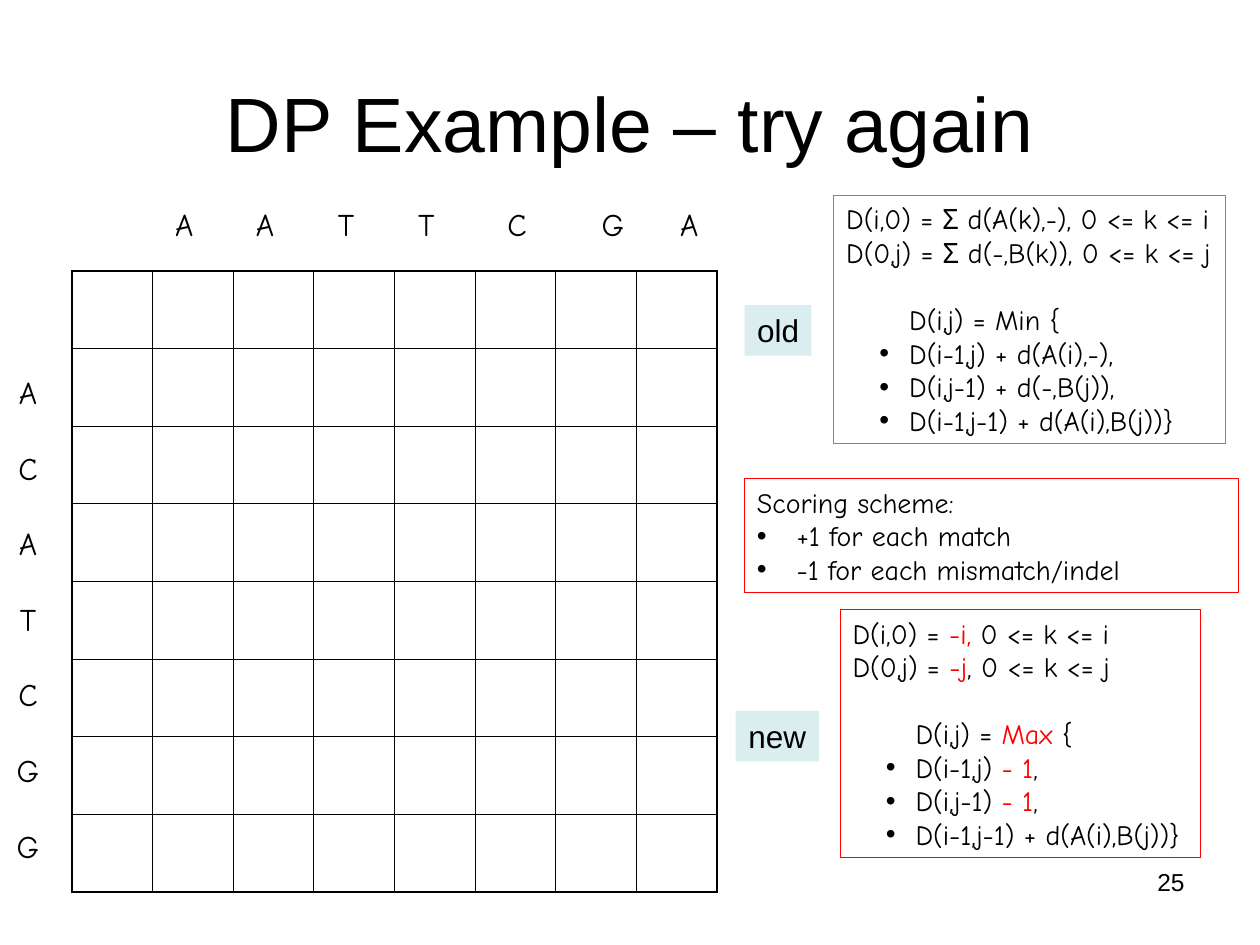
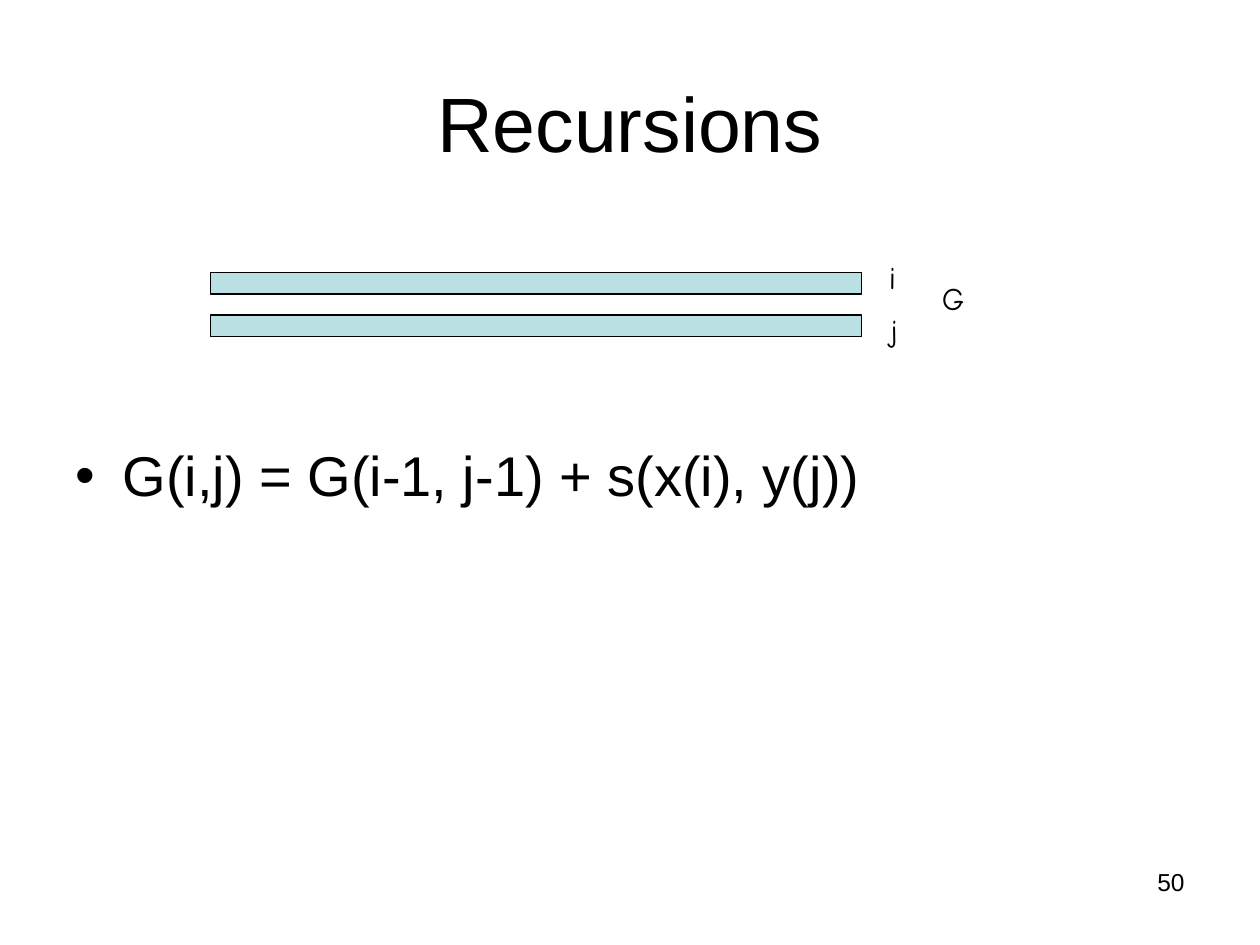
from lxml.etree import SubElement
from pptx import Presentation
from pptx.dml.color import RGBColor
from pptx.enum.shapes import MSO_SHAPE
from pptx.enum.text import MSO_ANCHOR, PP_ALIGN
from pptx.oxml.ns import qn
from pptx.util import Cm, Pt

HUES = {
    "ink": "000000",
    "red": "FF0000",
    "blue": "00B0F0",
    "pale": "DAEDEF",
    "teal": "BBE0E3",
}
SANS, HAND = "Arial", "Comic Neue"
LEFT, MID, RIGHT = PP_ALIGN.LEFT, PP_ALIGN.CENTER, PP_ALIGN.RIGHT


def hue(name):
    return RGBColor.from_string(HUES[name])


def paint(shape, fill=None, line=None):
    shape.shadow.inherit = False
    if fill:
        shape.fill.solid()
        shape.fill.fore_color.rgb = hue(fill)
    else:
        shape.fill.background()
    if line:
        shape.line.color.rgb = hue(line)
        shape.line.width = Pt(0.75)
    else:
        shape.line.fill.background()


def rect(slide, box, fill=None, line=None):
    shape = slide.shapes.add_shape(MSO_SHAPE.RECTANGLE, *map(Cm, box))
    paint(shape, fill, line)
    return shape


def label(slide, box):
    return slide.shapes.add_textbox(*map(Cm, box))


def write(shape, lines, size, face=HAND, align=LEFT, anchor=MSO_ANCHOR.TOP):
    frame = shape.text_frame
    frame.word_wrap = True
    frame.vertical_anchor = anchor
    frame.margin_left = Cm(0.25 if align == LEFT else 0)
    frame.margin_right = 0
    frame.margin_top = frame.margin_bottom = Cm(0.13)
    for num, line in enumerate(lines):
        para = frame.paragraphs[0] if num == 0 else frame.add_paragraph()
        para.alignment = align
        for odd, part in enumerate(line.split("|")):
            if part:
                run = para.add_run()
                run.text = part
                if odd % 2:
                    run.font.color.rgb = hue("red")
        para.font.size = Pt(size)
        para.font.name = face
        para.font.color.rgb = hue("ink")
    return frame.paragraphs


def indent(para, left, hang=0):
    props = para._p.get_or_add_pPr()
    props.set("marL", str(Cm(left)))
    props.set("indent", str(-Cm(hang)))
    if hang:
        font = props.makeelement(qn("a:buFont"), {"typeface": SANS})
        mark = props.makeelement(qn("a:buChar"), {"char": "•"})
        rest = props.find(qn("a:defRPr"))
        rest.addprevious(font)
        rest.addprevious(mark)


def tab(para, stops):
    props = para._p.get_or_add_pPr()
    tabs = props.makeelement(qn("a:tabLst"), {})
    for stop in stops:
        SubElement(tabs, qn("a:tab"), pos=str(Cm(stop)), algn="l")
    props.find(qn("a:defRPr")).addprevious(tabs)


def frame(deck, title, page):
    slide = deck.slides.add_slide(deck.slide_layouts[6])
    write(label(slide, (1.27, 0.87, 22.86, 3.18)), [title], 44, SANS, MID,
          MSO_ANCHOR.MIDDLE)
    write(label(slide, (18.21, 17.35, 5.67, 1.32)), [page], 14, SANS, RIGHT)
    return slide


def rules(slide, box, lines, edge):
    paras = write(rect(slide, box, line=edge), lines, 16)
    paras[2].space_before = Pt(19.2)
    indent(paras[2], 1.27)
    for para in paras[3:]:
        indent(para, 1.27, 0.6)


def score(slide, box):
    lines = ["Scoring scheme:", "+1 for each match",
             "-1 for each mismatch/indel"]
    paras = write(rect(slide, box, line="red"), lines, 16)
    for para in paras[1:]:
        indent(para, 0.8, 0.8)


def tag(slide, box, text):
    write(rect(slide, box, "pale"), [text], 18, SANS, MID)


def border(cell, side, width):
    line = SubElement(cell._tc.get_or_add_tcPr(), qn("a:ln" + side),
                      w=str(Pt(width)))
    fill = SubElement(line, qn("a:solidFill"))
    SubElement(fill, qn("a:srgbClr"), val=HUES["ink"])


def grid(slide, box, count):
    left, top, wide, high = box
    table = slide.shapes.add_table(count, count, *map(Cm, box)).table
    table.first_row = table.horz_banding = False
    last = count - 1
    for row in range(count):
        for col in range(count):
            cell = table.cell(row, col)
            rims = {"L": col == 0, "R": col == last,
                    "T": row == 0, "B": row == last}
            for side, rim in rims.items():
                border(cell, side, 1.08 if rim else 0.45)
            cell.fill.background()
    head = write(label(slide, (left + 1.83, top - 1.45, wide - 1.3, 1.02)),
                 ["\t".join("AATTCGA")], 18)
    tab(head[0], [1.63, 3.28, 4.9, 6.7, 8.6, 10.18])
    side = write(label(slide, (left - 1.37, top + 1.93, 0.97, 10.16)),
                 "ACATCGG", 18, align=MID)
    for para in side[1:]:
        para.space_before = Pt(21.6)


def retry(deck):
    slide = frame(deck, "DP Example – try again", "25")
    rules(slide, (16.94, 12.29, 7.26, 5), [
        "D(i,0) = |-i,| 0 <= k <= i",
        "D(0,j) = |-j|, 0 <= k <= j",
        "D(i,j) = |Max| {",
        "D(i-1,j) |- 1|,",
        "D(i,j-1) |- 1|,",
        "D(i-1,j-1) + d(A(i),B(j))}",
    ], "red")
    score(slide, (15.01, 9.65, 9.96, 2.29))
    rules(slide, (16.81, 3.94, 7.9, 5), [
        "D(i,0) = Σ d(A(k),-), 0 <= k <= i",
        "D(0,j) = Σ d(-,B(k)), 0 <= k <= j",
        "D(i,j) = Min {",
        "D(i-1,j) + d(A(i),-),",
        "D(i,j-1) + d(-,B(j)),",
        "D(i-1,j-1) + d(A(i),B(j))}",
    ], "blue")
    tag(slide, (15.01, 6.15, 1.35, 1.02), "old")
    tag(slide, (14.83, 14.33, 1.68, 1.02), "new")
    grid(slide, (1.45, 5.46, 13, 12.52), 8)


def bars(slide, box):
    left, top, wide, high = box
    for step in range(2):
        rect(slide, (left, top + step * 0.85, wide, high), "teal", "ink")
    right = left + wide
    for text, over, down in (("G", 1.37, 0), ("i", 0.3, -0.43),
                             ("j", 0.33, 0.64)):
        write(label(slide, (right + over, top + down, 0.97, 1.02)), [text], 18)


def recur(deck):
    slide = frame(deck, "Recursions", "50")
    body = write(label(slide, (1.27, 8.76, 22.86, 8.38)),
                 ["G(i,j) = G(i-1, j-1) + s(x(i), y(j))"], 32, SANS)
    indent(body[0], 0.95, 0.95)
    bars(slide, (4.24, 5.5, 13.13, 0.43))


def main():
    deck = Presentation()
    deck.slide_width, deck.slide_height = Cm(25.4), Cm(19.05)
    retry(deck)
    recur(deck)
    deck.save("out.pptx")


if __name__ == "__main__":
    main()
